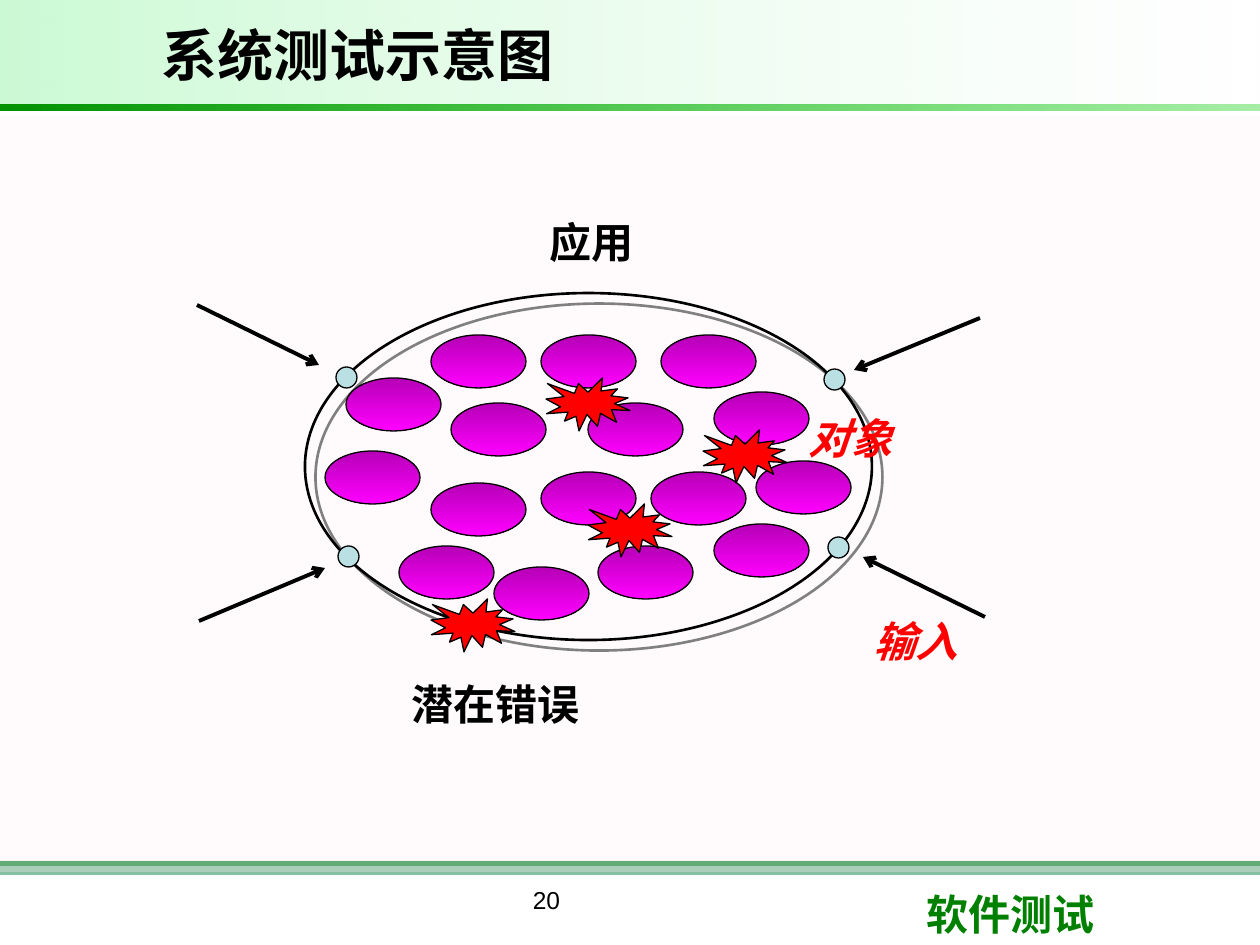
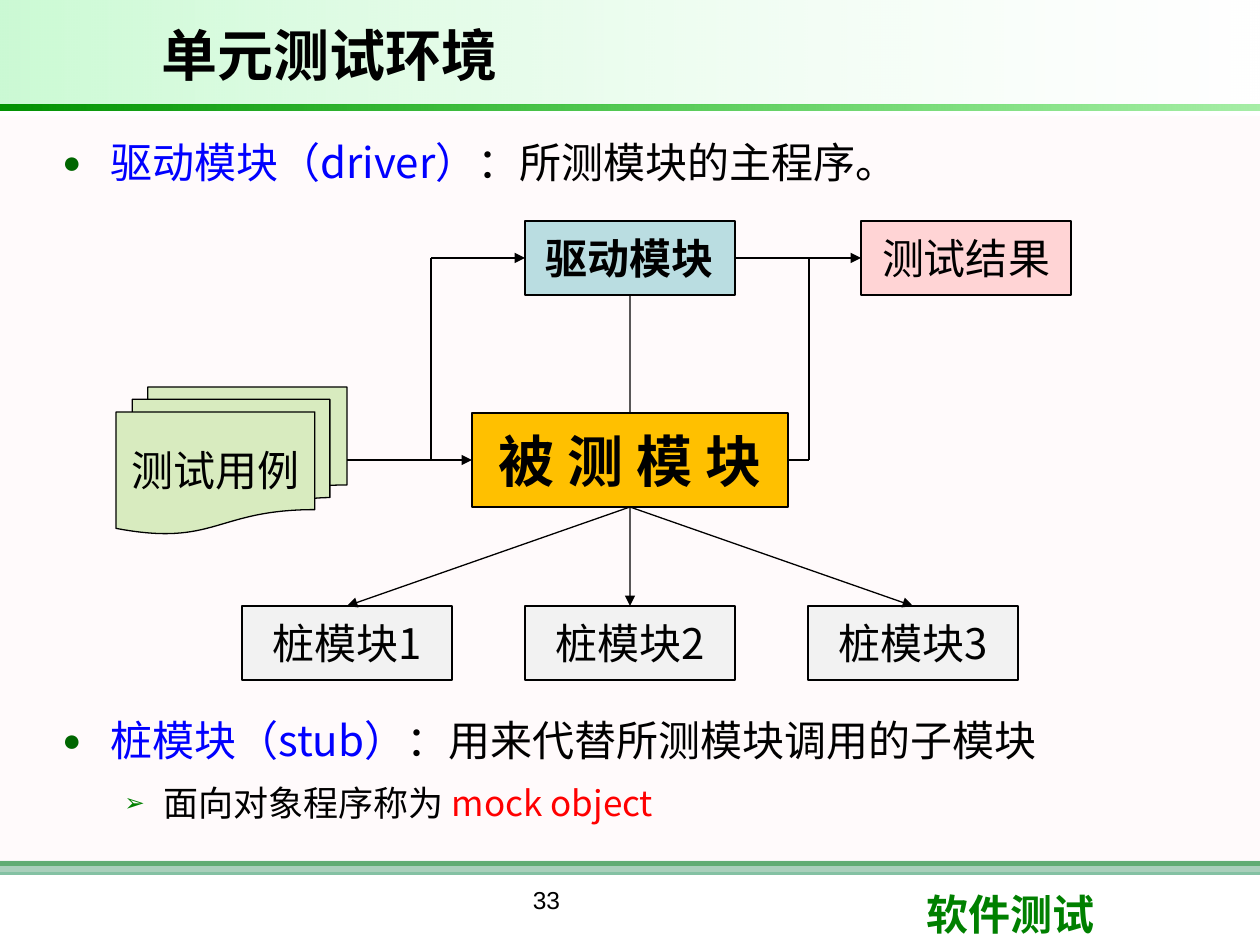
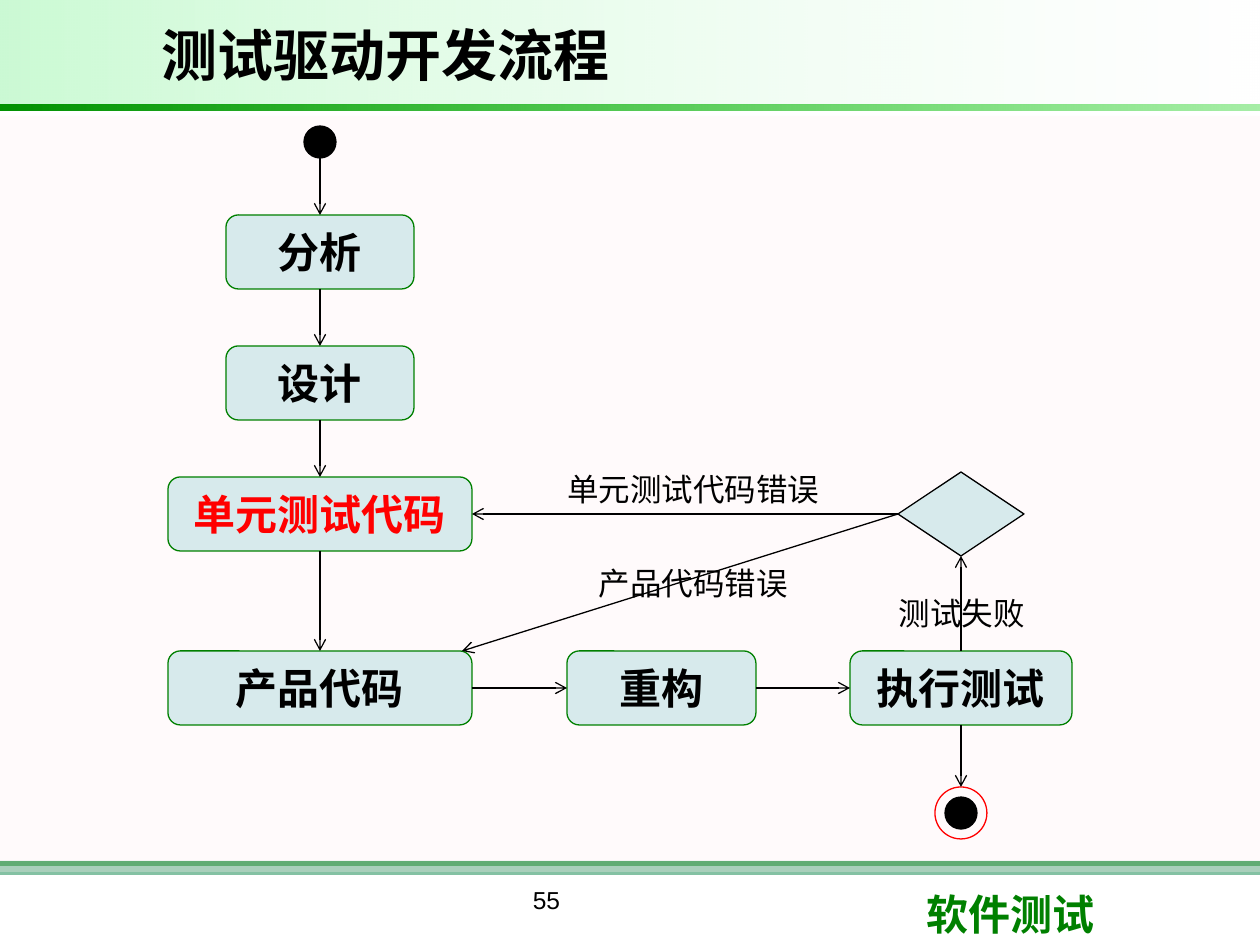
from lxml import etree
from pptx import Presentation
from pptx.dml.color import RGBColor
from pptx.enum.shapes import MSO_CONNECTOR, MSO_SHAPE
from pptx.enum.text import MSO_ANCHOR, PP_ALIGN
from pptx.oxml.ns import qn
from pptx.util import Pt

RECT, ROUND, OVAL = MSO_SHAPE.RECTANGLE, MSO_SHAPE.ROUNDED_RECTANGLE, MSO_SHAPE.OVAL
BURST, DOCS = MSO_SHAPE.EXPLOSION1, MSO_SHAPE.FLOWCHART_MULTIDOCUMENT
CHOICE, STRAIGHT = MSO_SHAPE.FLOWCHART_DECISION, MSO_CONNECTOR.STRAIGHT
LEFT, MID = PP_ALIGN.LEFT, PP_ALIGN.CENTER
TOP, CENTER = MSO_ANCHOR.TOP, MSO_ANCHOR.MIDDLE

PX = 914400 / 126
SANS, ARIAL, TIMES, FOOT = "Noto Sans CJK SC", "Arial", "Times New Roman", "Roboto"
COL = {
    "black": "000000", "white": "FFFFFF", "red": "FF0000", "blue": "0000FF",
    "green": "008000", "sea": "339966", "pink": "FFF0F5", "mint": "09E733",
    "leaf": "00CC00", "forest": "009200", "dot": "006600", "sky": "BBE0E3",
    "teal": "BADDE1", "gold": "FFC000", "gray": "F2F2F2", "lime": "92D050",
    "plum": "B600B6", "violet": "FF00FF", "shade": "808080",
}


# A fill is a list of (colour, opacity in percent): one is solid, two a gradient.
# A run is (text, size, font, colour, style), with b and i as style letters.
def draw(slide, kind, box, fill=(), line=None, wide=0.75, turn=0,
         runs=(), side=MID, anchor=CENTER):
    spot = [round(n * PX) for n in box]
    if kind is None:
        shape = slide.shapes.add_textbox(*spot)
    else:
        shape = slide.shapes.add_shape(kind, *spot)
        shape.shadow.inherit = False
        if not fill:
            shape.fill.background()
        elif len(fill) == 1:
            shape.fill.solid()
            shape.fill.fore_color.rgb = RGBColor.from_string(COL[fill[0][0]])
        else:
            shape.fill.gradient()
            shape.fill.gradient_angle = turn
            for stop, (name, _) in zip(shape.fill.gradient_stops, fill):
                stop.color.rgb = RGBColor.from_string(COL[name])
        tones = list(shape._element.spPr.iter(qn("a:srgbClr")))
        for tone, (_, part) in zip(tones, fill):
            if part < 100:
                etree.SubElement(tone, qn("a:alpha"), val=str(part * 1000))
        if line:
            shape.line.color.rgb = RGBColor.from_string(COL[line])
            shape.line.width = Pt(wide)
        else:
            shape.line.fill.background()
    frame = shape.text_frame
    frame.word_wrap = True
    frame.vertical_anchor = anchor
    para = frame.paragraphs[0]
    para.alignment = side
    for item in runs:
        if item == "break":
            para = frame.add_paragraph()
            para.alignment = side
            continue
        words, size, face, tint, style = item
        run = para.add_run()
        run.text = words
        font = run.font
        font.size, font.name = Pt(size), face
        font.bold, font.italic = "b" in style, "i" in style
        font.color.rgb = RGBColor.from_string(COL[tint])
    return shape


# An end is a point (x, y) or a pair (shape, site).
def link(slide, start, end, head=None, wide=0.75):
    spots = [[round(n * PX) for n in e] if isinstance(e[0], int) else [0, 0]
             for e in (start, end)]
    wire = slide.shapes.add_connector(STRAIGHT, *spots[0], *spots[1])
    if not isinstance(start[0], int):
        wire.begin_connect(*start)
    if not isinstance(end[0], int):
        wire.end_connect(*end)
    wire.line.color.rgb = RGBColor.from_string(COL["black"])
    wire.line.width = Pt(wide)
    if head:
        etree.SubElement(wire.line._get_or_add_ln(), qn("a:tailEnd"), type=head)
    etree.SubElement(wire._element.spPr, qn("a:effectLst"))


deck = Presentation()
deck.slide_width, deck.slide_height = round(1260 * PX), round(945 * PX)

# Shared frame: bands, title, footer, page number
pages = []
for title, number in (("系统测试示意图", "20"), ("单元测试环境", "33"),
                      ("测试驱动开发流程", "55")):
    page = deck.slides.add_slide(deck.slide_layouts[6])
    draw(page, RECT, (0, 861, 1260, 5), [("green", 100)])
    draw(page, RECT, (0, 861, 1260, 14), [("sea", 60)])
    draw(page, RECT, (0, 116, 1260, 756), [("pink", 30)])
    draw(page, None, (914, 882, 299, 63), side=LEFT, anchor=TOP,
         runs=[("软件测试", 24, FOOT, "green", "b")])
    draw(page, RECT, (0, 0, 1260, 105), [("mint", 21), ("white", 10)])
    draw(page, RECT, (0, 105, 1260, 6), [("forest", 100), ("leaf", 35)])
    draw(page, None, (149, 10, 878, 89), side=LEFT,
         runs=[(title, 32, ARIAL, "black", "b")])
    draw(page, None, (347, 879, 399, 66), anchor=TOP,
         runs=[(number, 14, ARIAL, "black", "")])
    pages.append(page)
system, unit, flow = pages

# System test: application outline with its shadow
app = draw(system, OVAL, (305, 293, 567, 347), line="black", wide=1.5)
cast = etree.SubElement(app._element.spPr.find(qn("a:effectLst")), qn("a:outerShdw"),
                        dist=str(Pt(8.5)), dir="2700000", algn="ctr", rotWithShape="0")
etree.SubElement(cast, qn("a:srgbClr"), val=COL["shade"])

# System test: ports, objects, inputs, labels, faults
for x, y in ((336, 367), (824, 369), (828, 537), (338, 546)):
    draw(system, OVAL, (x, y, 21, 21), [("sky", 100)], "black")
for x, y in ((661, 335), (714, 392), (756, 461), (651, 472), (714, 524), (598, 546),
             (494, 567), (399, 546), (541, 472), (431, 483), (325, 451), (588, 403),
             (451, 403), (346, 378), (431, 335), (541, 335)):
    draw(system, OVAL, (x, y, 95, 53), [("plum", 100), ("violet", 100)], "black", turn=270)
for start, end in (((980, 318), (854, 370)), ((199, 621), (325, 568)),
                   ((197, 305), (319, 365)), ((985, 617), (863, 557))):
    link(system, start, end, "arrow", 2.25)
for words, x, y, w, tint, style in (
        ("应用", 537, 210, 111, "black", "b"), ("输入", 861, 609, 116, "red", "bi"),
        ("潜在错误", 399, 672, 197, "black", "b"), ("对象", 796, 406, 111, "red", "bi")):
    draw(system, None, (x, y, w, 63), side=LEFT, anchor=TOP,
         runs=[(words, 24, TIMES, tint, style)])
for x, y in ((588, 504), (546, 378), (703, 430), (431, 599)):
    draw(system, BURST, (x, y, 84, 53), [("red", 100)], "black")

# Unit test: modules
target = draw(unit, RECT, (472, 413, 316, 94), [("gold", 100)], "black", 1.5,
              runs=[("被 测 模 块", 32, ARIAL, "black", "b")])
stubs = [draw(unit, RECT, (242 + 283 * i, 606, 210, 74), [("gray", 100)], "black",
              runs=[(f"桩模块{i + 1}", 24, SANS, "black", "")]) for i in range(3)]
driver = draw(unit, RECT, (525, 221, 210, 74), [("teal", 100)], "black",
              runs=[("驱动模块", 24, SANS, "black", "b")])
result = draw(unit, RECT, (861, 221, 210, 74), [("red", 15)], "black",
              runs=[("测试结果", 24, SANS, "black", "")])
draw(unit, DOCS, (116, 387, 231, 147), [("lime", 35)], "black",
     runs=[("测试用例", 24, SANS, "black", "")])

# Unit test: wires
for stub in stubs:
    link(unit, (target, 2), (stub, 0), "triangle")
for start, end, head in (
        ((347, 460), (target, 1), "triangle"), ((driver, 3), (result, 1), "triangle"),
        ((driver, 2), (target, 0), None), ((431, 258), (driver, 1), "triangle"),
        ((431, 258), (431, 460), None), ((target, 3), (809, 460), None),
        ((809, 460), (809, 258), None)):
    link(unit, start, end, head)

# Unit test: bulleted notes
notes = (
    ((49, 136, 1179, 92), [("驱动模块（driver）", 24, SANS, "blue", ""),
                           ("：所测模块的主程序。", 24, SANS, "black", "")]),
    ((49, 714, 1179, 135), [("桩模块（stub）", 24, SANS, "blue", ""),
                            ("：用来代替所测模块调用的子模块", 24, SANS, "black", ""),
                            "break",
                            ("面向对象程序称为 ", 20, SANS, "black", ""),
                            ("mock object", 20, SANS, "red", "")]),
)
marks = ((49, -48, "dot", 75, "●"), (102, -39, "green", 70, "➢"))
for box, runs in notes:
    note = draw(unit, None, box, runs=runs, side=LEFT, anchor=TOP)
    for level, para in enumerate(note.text_frame.paragraphs):
        edge, hang, tint, size, sign = marks[level]
        para.level = level
        para.space_before = para.space_after = Pt(6)
        para.line_spacing = 0.9
        props = para._p.get_or_add_pPr()
        props.set("marL", str(round(edge * PX)))
        props.set("indent", str(round(hang * PX)))
        tone = etree.SubElement(props, qn("a:buClr"))
        etree.SubElement(tone, qn("a:srgbClr"), val=COL[tint])
        etree.SubElement(props, qn("a:buSzPct"), val=str(size * 1000))
        etree.SubElement(props, qn("a:buFont"), typeface=ARIAL)
        etree.SubElement(props, qn("a:buChar"), char=sign)

# Test-driven flow: steps
steps = []
for words, x, y, w, tint in (
        ("分析", 226, 215, 188, "black"), ("设计", 226, 346, 188, "black"),
        ("单元测试代码", 168, 477, 304, "red"), ("产品代码", 168, 651, 304, "black"),
        ("重构", 567, 651, 189, "black"), ("执行测试", 850, 651, 222, "black")):
    steps.append(draw(flow, ROUND, (x, y, w, 74), [("sky", 59)], "green",
                      runs=[(words, 24, ARIAL, tint, "b")]))
study, plan, test, code, tidy, check = steps

# Test-driven flow: start, end and choice
draw(flow, OVAL, (304, 126, 32, 32), [("black", 100)], "black")
draw(flow, OVAL, (945, 797, 32, 32), [("black", 100)], "black")
draw(flow, OVAL, (935, 787, 52, 52), line="red")
choice = draw(flow, CHOICE, (898, 472, 126, 84), [("sky", 59)], "black")

# Test-driven flow: arrows and their labels
for start, end in (
        ((320, 158), (study, 0)), ((study, 2), (plan, 0)), ((plan, 2), (test, 0)),
        ((test, 2), (code, 0)), ((code, 3), (tidy, 1)), ((tidy, 3), (check, 1)),
        ((check, 2), (961, 787)), ((check, 0), (choice, 2)), ((choice, 1), (test, 3)),
        ((choice, 1), (462, 651))):
    link(flow, start, end, "arrow")
for words, x, y, w in (("测试失败", 850, 588, 223), ("单元测试代码错误", 546, 464, 294),
                       ("产品代码错误", 546, 558, 294)):
    draw(flow, None, (x, y, w, 50), anchor=TOP, runs=[(words, 18, SANS, "black", "")])

deck.save("out.pptx")
